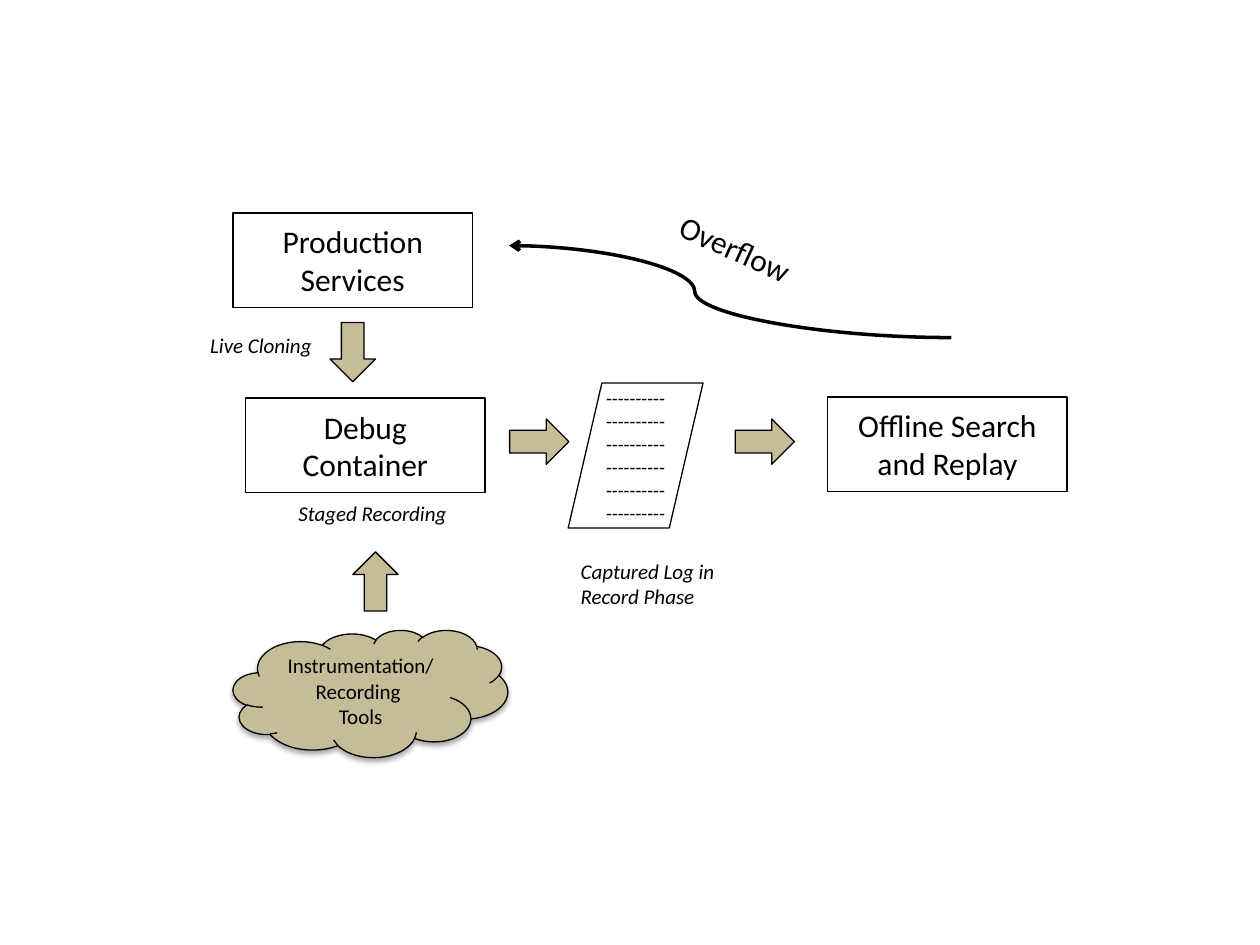
from dataclasses import dataclass

from lxml.etree import SubElement
from pptx import Presentation
from pptx.dml.color import RGBColor
from pptx.enum.shapes import MSO_CONNECTOR, MSO_SHAPE
from pptx.enum.text import MSO_ANCHOR, MSO_AUTO_SIZE, PP_ALIGN
from pptx.oxml.ns import qn
from pptx.util import Inches, Pt


@dataclass(frozen=True)
class Theme:
    font: str = "Calibri"
    ink: RGBColor = RGBColor(0x00, 0x00, 0x00)
    tan: RGBColor = RGBColor(0xC4, 0xBD, 0x97)
    heading: int = 18
    label: int = 12
    log: int = 11
    outline: float = 0.75
    curve: float = 2


THEME = Theme()


def write(shape, lines, size, align=PP_ALIGN.CENTER, italic=None):
    """Put one paragraph per line into a shape."""
    frame = shape.text_frame
    formats = {"name": THEME.font, "size": Pt(size), "italic": italic}
    for index, line in enumerate(lines):
        para = frame.add_paragraph() if index else frame.paragraphs[0]
        para.alignment = align
        span = para.add_run()
        span.text = line
        for name, value in formats.items():
            setattr(span.font, name, value)
        span.font.color.rgb = THEME.ink


def add_outlined(slide, kind, place, fill=None, lines=(), size=THEME.heading):
    """Add a preset shape with a thin outline and centred text."""
    shape = slide.shapes.add_shape(kind, *map(Inches, place))
    if fill is None:
        shape.fill.background()
    else:
        shape.fill.solid()
        shape.fill.fore_color.rgb = fill
    shape.line.color.rgb = THEME.ink
    shape.line.width = Pt(THEME.outline)
    shape.shadow.inherit = False
    shape.text_frame.word_wrap = True
    shape.text_frame.vertical_anchor = MSO_ANCHOR.MIDDLE
    write(shape, lines, size)
    return shape


def add_block_arrow(slide, left, top, rotation):
    arrow = add_outlined(slide, MSO_SHAPE.DOWN_ARROW, (left, top, 0.36, 0.47), THEME.tan)
    arrow.rotation = rotation


def add_label(slide, place, lines, size=THEME.label, wrap=False,
              align=PP_ALIGN.LEFT, italic=True):
    label = slide.shapes.add_textbox(*map(Inches, place))
    label.text_frame.word_wrap = wrap
    label.text_frame.auto_size = MSO_AUTO_SIZE.SHAPE_TO_FIT_TEXT
    write(label, lines, size, align, italic)
    return label


def add_soft_shadow(shape):
    effects = shape._element.spPr.find(qn("a:effectLst"))
    shadow = SubElement(effects, qn("a:outerShdw"), blurRad=str(Pt(3.1)),
                        dist=str(Pt(1.8)), dir="5400000", rotWithShape="0")
    color = SubElement(shadow, qn("a:srgbClr"), val=str(THEME.ink))
    SubElement(color, qn("a:alpha"), val="35000")


def add_curved_arrow(slide, start, end, bend):
    curve = slide.shapes.add_connector(MSO_CONNECTOR.CURVE, *map(Inches, start + end))
    curve.line.color.rgb = THEME.ink
    curve.line.width = Pt(THEME.curve)
    properties = curve._element.spPr
    SubElement(properties.find(qn("a:ln")), qn("a:tailEnd"), type="arrow")
    SubElement(properties, qn("a:effectLst"))
    guides = properties.find(qn("a:prstGeom")).find(qn("a:avLst"))
    SubElement(guides, qn("a:gd"), name="adj1", fmla=f"val {round(bend * 100000)}")


def main():
    deck = Presentation()
    deck.slide_width, deck.slide_height = Inches(10), Inches(7.5)
    slide = deck.slides.add_slide(deck.slide_layouts[6])

    # Stages of the workflow
    for left, top, name in (
        (1.85, 1.69, "Production Services"),
        (1.95, 3.16, "Debug Container"),
        (6.57, 3.15, "Offline Search and Replay"),
    ):
        add_outlined(slide, MSO_SHAPE.RECTANGLE, (left, top, 1.9, 0.75), lines=[name])

    # Tools and the captured log
    cloud = add_outlined(slide, MSO_SHAPE.CLOUD, (1.85, 5, 2.18, 1.01), THEME.tan,
                         ["Instrumentation/ Recording ", "Tools"], THEME.label)
    add_soft_shadow(cloud)
    add_outlined(slide, MSO_SHAPE.PARALLELOGRAM, (4.51, 3.04, 1.07, 1.15),
                 lines=["-" * 60], size=THEME.log)

    # Block arrows between the stages
    for left, top, rotation in (
        (2.62, 2.56, 0), (2.8, 4.38, 180), (4.1, 3.27, 270), (5.89, 3.27, 270),
    ):
        add_block_arrow(slide, left, top, rotation)

    # Captions
    for place, lines in (
        ((1.57, 2.59, 1.06, 0.3), ["Live Cloning"]),
        ((2.27, 3.92, 1.44, 0.3), ["Staged Recording"]),
        ((4.51, 4.38, 1.31, 0.5), ["Captured Log in", "Record Phase"]),
    ):
        add_label(slide, place, lines)

    # Overflow path back to production
    add_curved_arrow(slide, (7.55, 2.68), (4.04, 1.95), bend=0.58)
    overflow = add_label(slide, (4.99, 1.77, 1.69, 0.4), ["Overflow"], THEME.heading,
                         wrap=True, align=PP_ALIGN.CENTER, italic=None)
    overflow.rotation = 24.4

    deck.save("out.pptx")


if __name__ == "__main__":
    main()
